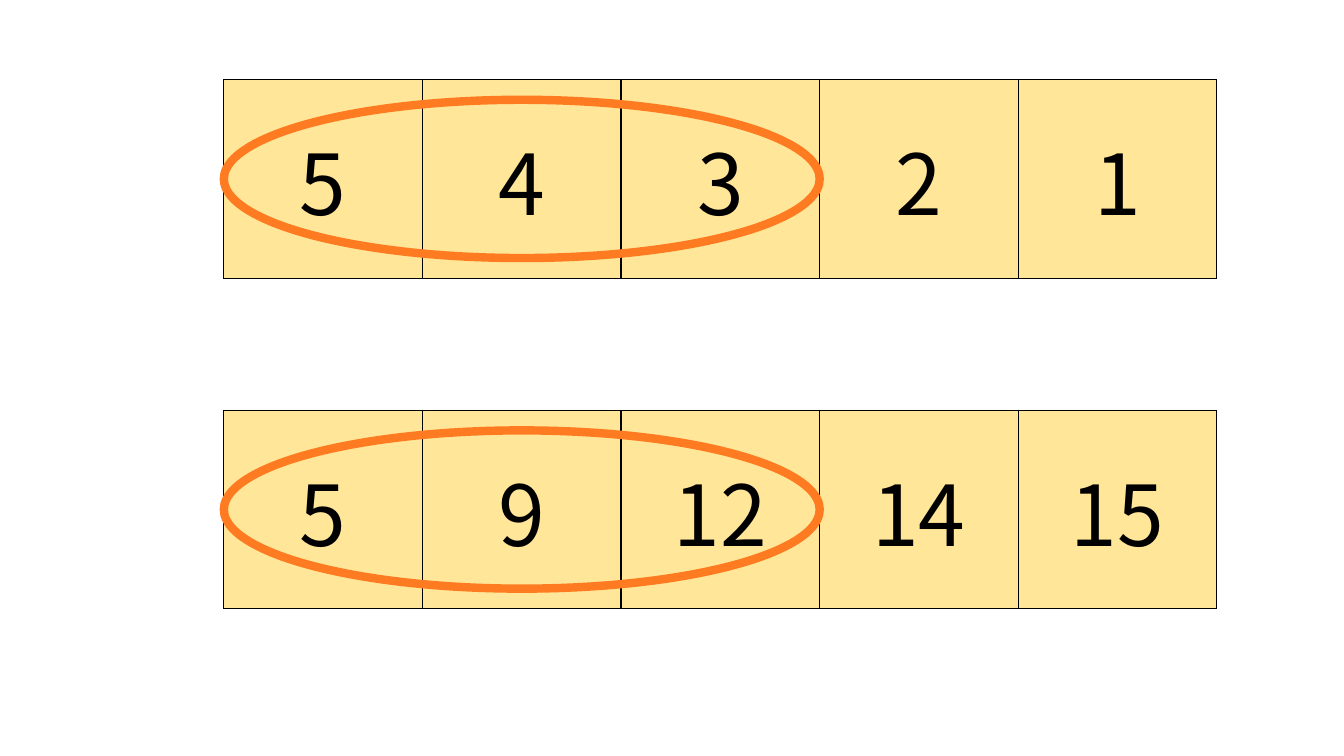
import pptx
import pptx.dml.color
import pptx.enum.shapes
import pptx.enum.text
import pptx.oxml
import pptx.oxml.ns
import pptx.util

Inches = pptx.util.Inches
Pt = pptx.util.Pt

COLORS = {"cell": "FFE699", "ink": "000000", "window": "FF7B21"}
FONT = "Noto Sans CJK KR"
CELL = 1.97
LEFT = 2.22
WINDOW_SIZE = 3
WINDOW_INSET = 0.2
ARRAYS = [(0.79, [5, 4, 3, 2, 1]), (4.07, [5, 9, 12, 14, 15])]


def rgb(key):
    return pptx.dml.color.RGBColor.from_string(COLORS[key])


def border_cell(cell):
    properties = cell._tc.get_or_add_tcPr()
    for position, side in enumerate(("lnL", "lnR", "lnT", "lnB")):
        border = pptx.oxml.parse_xml(
            f'<a:{side} {pptx.oxml.ns.nsdecls("a")} w="{Pt(1)}"><a:solidFill>'
            f'<a:srgbClr val="{COLORS["ink"]}"/></a:solidFill></a:{side}>')
        properties.insert(position, border)


def fill_cell(cell, value):
    cell.fill.solid()
    cell.fill.fore_color.rgb = rgb("cell")
    cell.vertical_anchor = pptx.enum.text.MSO_ANCHOR.MIDDLE
    paragraph = cell.text_frame.paragraphs[0]
    paragraph.alignment = pptx.enum.text.PP_ALIGN.CENTER
    number = paragraph.add_run()
    number.text = str(value)
    number.font.name = FONT
    number.font.size = Pt(60)
    number.font.color.rgb = rgb("ink")
    border_cell(cell)


def add_array(slide, left, top, values):
    array = slide.shapes.add_table(
        1, len(values), Inches(left), Inches(top),
        Inches(CELL * len(values)), Inches(CELL)).table
    array.first_row = False
    array.horz_banding = False
    for column, value in enumerate(values):
        array.columns[column].width = Inches(CELL)
        fill_cell(array.cell(0, column), value)


def add_window(slide, left, top):
    """Ring the first cells of the array that starts at left, top."""
    window = slide.shapes.add_shape(
        pptx.enum.shapes.MSO_SHAPE.OVAL,
        Inches(left), Inches(top + WINDOW_INSET),
        Inches(CELL * WINDOW_SIZE), Inches(CELL - 2 * WINDOW_INSET))
    window.shadow.inherit = False
    window.fill.background()
    window.line.color.rgb = rgb("window")
    window.line.width = Pt(6)


def main():
    deck = pptx.Presentation()
    deck.slide_width = Inches(13.33)
    deck.slide_height = Inches(7.5)
    slide = deck.slides.add_slide(deck.slide_layouts[6])
    for top, values in ARRAYS:
        add_array(slide, LEFT, top, values)
        add_window(slide, LEFT, top)
    deck.save("out.pptx")


if __name__ == "__main__":
    main()
